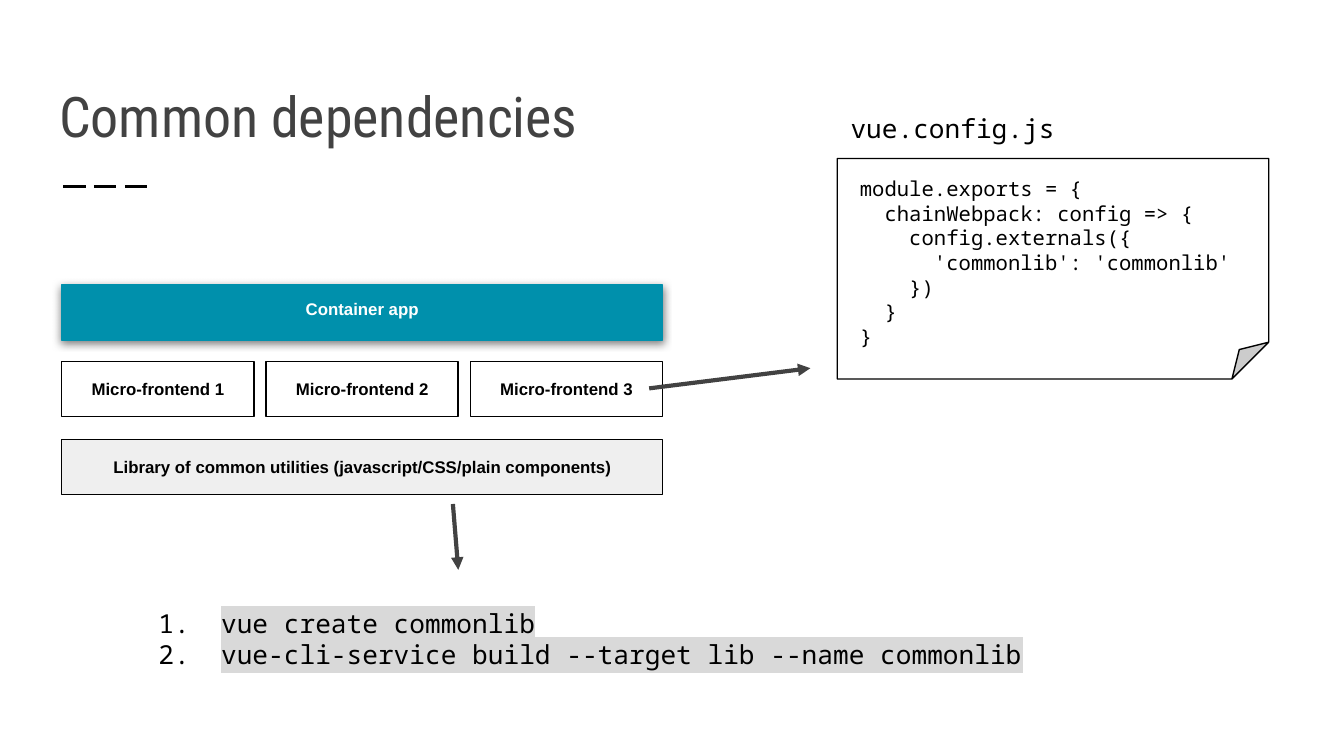
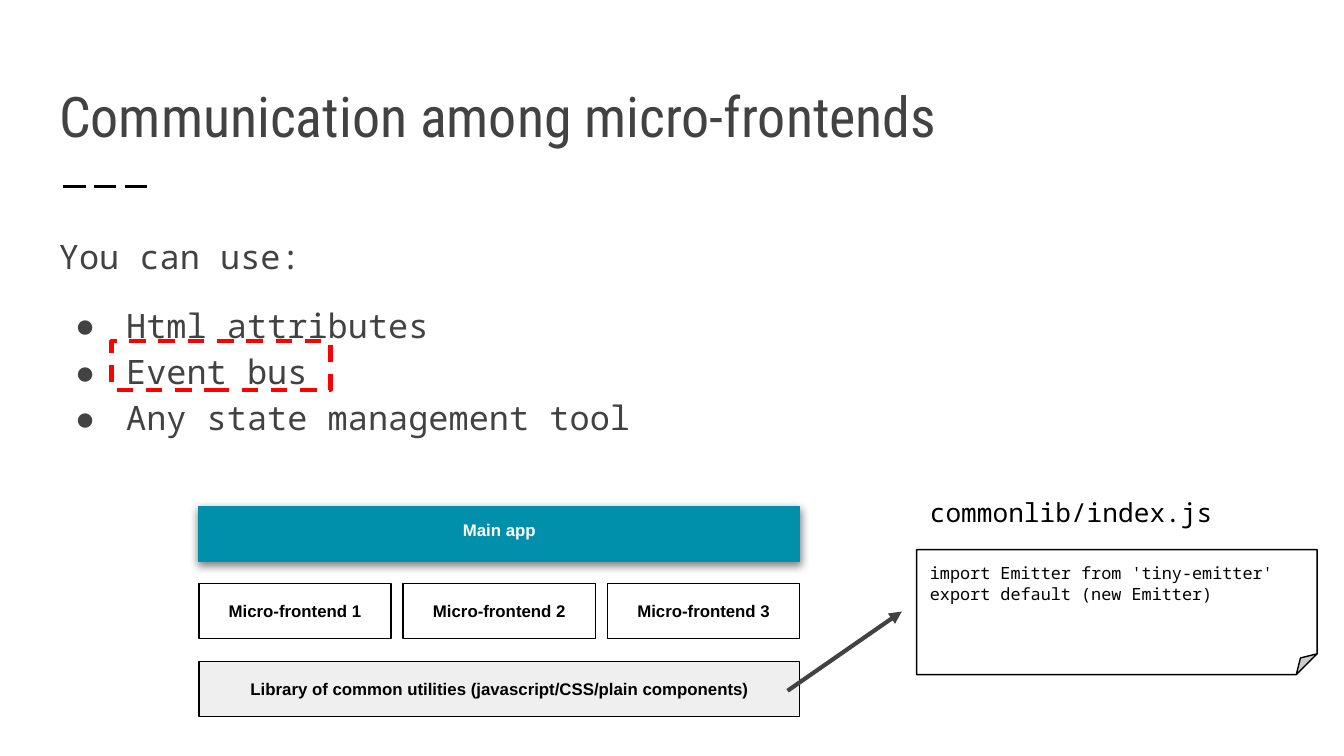
from lxml import etree
from pptx import Presentation
from pptx.dml.color import RGBColor
from pptx.enum.dml import MSO_LINE
from pptx.enum.shapes import MSO_CONNECTOR, MSO_SHAPE
from pptx.enum.text import MSO_ANCHOR, MSO_AUTO_SIZE, PP_ALIGN
from pptx.oxml.ns import qn
from pptx.util import Emu, Pt

PX = 9144  # 100 px to the inch
INSET = 10
TITLE_ONLY = 5

WHITE = RGBColor(0xFF, 0xFF, 0xFF)
BLACK = RGBColor(0x00, 0x00, 0x00)
DARK = RGBColor(0x42, 0x42, 0x42)
TEAL = RGBColor(0x00, 0x90, 0xAC)
PALE = RGBColor(0xEF, 0xEF, 0xEF)
MARKER = RGBColor(0xD9, 0xD9, 0xD9)
RED = RGBColor(0xFF, 0x00, 0x00)

TITLE_FONT = "Roboto Condensed"
MONO = "Noto Sans Mono"
SANS = "Arial"

RECT, FOLDED = MSO_SHAPE.RECTANGLE, MSO_SHAPE.FOLDED_CORNER
STRAIGHT = MSO_CONNECTOR.STRAIGHT
DASH, LONG_DASH = MSO_LINE.DASH, MSO_LINE.LONG_DASH
TOP, MIDDLE, BOTTOM = MSO_ANCHOR.TOP, MSO_ANCHOR.MIDDLE, MSO_ANCHOR.BOTTOM
LEFT, CENTER = PP_ALIGN.LEFT, PP_ALIGN.CENTER
NO_FIT, GROW = MSO_AUTO_SIZE.NONE, MSO_AUTO_SIZE.SHAPE_TO_FIT_TEXT


def px(*values):
    return [Emu(v * PX) for v in values]


def sub(parent, tag, **attrs):
    return etree.SubElement(parent, qn(tag), attrs)


def style_run(r, size, font, color, bold=False):
    r.font.size = Pt(size)
    r.font.name = font
    r.font.color.rgb = color
    r.font.bold = bold


def write(tf, lines, size, font, color, bold=False, align=LEFT, anchor=TOP):
    tf.word_wrap = True
    tf.vertical_anchor = anchor
    tf.margin_left = tf.margin_right = tf.margin_top = tf.margin_bottom = Emu(INSET * PX)
    tf.text = "\n".join(lines)
    for p in tf.paragraphs:
        p.alignment = align
        for r in p.runs:
            style_run(r, size, font, color, bold)


def add_title(s, text):
    title = s.shapes.title
    title.left, title.top, title.width, title.height = px(34, 41, 932, 80)
    write(title.text_frame, [text], 30, TITLE_FONT, DARK, anchor=BOTTOM)
    title.text_frame.auto_size = NO_FIT
    add_line(s, 47, 139, 114, 139, BLACK, 1.5).line.dash_style = LONG_DASH


def add_text(s, x, y, w, h, lines, size, color=BLACK, fit=GROW):
    tf = s.shapes.add_textbox(*px(x, y, w, h)).text_frame
    write(tf, lines, size, MONO, color)
    tf.auto_size = fit
    return tf


def add_box(s, x, y, w, h, fill=None, line=BLACK, weight=0.75, kind=RECT):
    sp = s.shapes.add_shape(kind, *px(x, y, w, h))
    sp.shadow.inherit = False
    if fill is None:
        sp.fill.background()
    else:
        sp.fill.solid()
        sp.fill.fore_color.rgb = fill
    sp.line.color.rgb = line
    sp.line.width = Pt(weight)
    return sp


def add_label_box(s, x, y, w, h, text, fill, line=BLACK, color=BLACK, anchor=MIDDLE):
    sp = add_box(s, x, y, w, h, fill, line)
    write(sp.text_frame, [text], 9, SANS, color, True, CENTER, anchor)
    return sp


def add_drop_shadow(sp):
    effects = sp._element.spPr.find(qn("a:effectLst"))
    shadow = sub(effects, "a:outerShdw", blurRad=str(Pt(4.5)), dist=str(Pt(1.5)),
                 dir="5400000", algn="bl", rotWithShape="0")
    sub(sub(shadow, "a:srgbClr", val=str(BLACK)), "a:alpha", val="50000")


def add_line(s, x1, y1, x2, y2, color, weight):
    line = s.shapes.add_connector(STRAIGHT, *px(x1, y1, x2, y2))
    line.line.color.rgb = color
    line.line.width = Pt(weight)
    sub(line._element.spPr, "a:effectLst")
    return line


def add_arrow(s, x1, y1, x2, y2):
    line = add_line(s, x1, y1, x2, y2, DARK, 2.25)
    sub(line.line._get_or_add_ln(), "a:tailEnd", type="triangle")


def set_bullet(p, hanging, color, tag, **attrs):
    pPr = p._p.get_or_add_pPr()
    pPr.set("marL", str(50 * PX))
    pPr.set("indent", str(-hanging * PX))
    sub(sub(pPr, "a:buClr"), "a:srgbClr", val=str(color))
    sub(pPr, "a:buFont", typeface=MONO)
    sub(pPr, tag, **attrs)


def highlight(r):
    """Mark a run that already has its colour and font."""
    mark = etree.Element(qn("a:highlight"))
    sub(mark, "a:srgbClr", val=str(MARKER))
    r.font._element.find(qn("a:latin")).addprevious(mark)


def add_commands(s, x, y, w, h, commands):
    tf = add_text(s, x, y, w, h, [" "] * len(commands), 14)
    for p, command in zip(tf.paragraphs, commands):
        set_bullet(p, 35, BLACK, "a:buAutoNum", type="arabicPeriod")
        r = p.add_run()
        r.text = command
        style_run(r, 14, MONO, BLACK)
        highlight(r)


def add_options(s, x, y, w, h, intro, options):
    tf = add_text(s, x, y, w, h, [intro, *options], 18, DARK, NO_FIT)
    for p in tf.paragraphs:
        p.line_spacing = 1.15
    for p in tf.paragraphs[1:]:
        set_bullet(p, 38, DARK, "a:buChar", char="●")
    tf.paragraphs[1].space_before = Pt(12)


def add_architecture(s, x, y, app):
    """Stack the app, its three micro-frontends and the shared library."""
    width, height, part_width, part_step = 447, 41, 143, 152
    parts_y, library_y = y + 57, y + 115
    add_drop_shadow(add_label_box(s, x, y, width, height, app, TEAL, TEAL, WHITE, TOP))
    for i in range(3):
        add_label_box(s, x + i * part_step, parts_y, part_width, height,
                      f"Micro-frontend {i + 1}", WHITE)
    add_label_box(s, x, library_y, width, height,
                  "Library of common utilities (javascript/CSS/plain components)", PALE)


def dependencies_slide(prs):
    s = prs.slides.add_slide(prs.slide_layouts[TITLE_ONLY])
    add_title(s, "Common dependencies")
    add_box(s, 623, 118, 321, 164, WHITE, kind=FOLDED)
    add_architecture(s, 46, 212, "Container app")
    add_commands(s, 93, 442, 772, 114, [
        "vue create commonlib",
        "vue-cli-service build --target lib --name commonlib",
    ])
    add_arrow(s, 337, 375, 341, 424)
    add_arrow(s, 483, 289, 603, 274)
    add_text(s, 630, 121, 314, 150, [
        "module.exports = {",
        "  chainWebpack: config => {",
        "    config.externals({",
        "      'commonlib': 'commonlib'",
        "    })",
        "  }",
        "}",
    ], 11)
    add_text(s, 623, 74, 321, 44, ["vue.config.js"], 14)


def communication_slide(prs):
    s = prs.slides.add_slide(prs.slide_layouts[TITLE_ONLY])
    add_title(s, "Communication among micro-frontends")
    add_box(s, 682, 409, 298, 93, WHITE, kind=FOLDED)
    add_options(s, 34, 161, 506, 339, "You can use:",
                ["Html attributes", "Event bus", "Any state management tool"])
    add_text(s, 682, 409, 298, 66, [
        "import Emitter from 'tiny-emitter'",
        "export default (new Emitter)",
    ], 9)
    add_text(s, 682, 359, 298, 44, ["commonlib/index.js"], 14)
    add_architecture(s, 148, 377, "Main app")
    add_arrow(s, 586, 514, 671, 455)
    add_box(s, 83, 254, 163, 36, line=RED, weight=2.25).line.dash_style = DASH


def main():
    prs = Presentation()
    prs.slide_width = Emu(1000 * PX)
    prs.slide_height = Emu(prs.slide_width * 9 // 16)
    dependencies_slide(prs)
    communication_slide(prs)
    prs.save("out.pptx")


if __name__ == "__main__":
    main()
